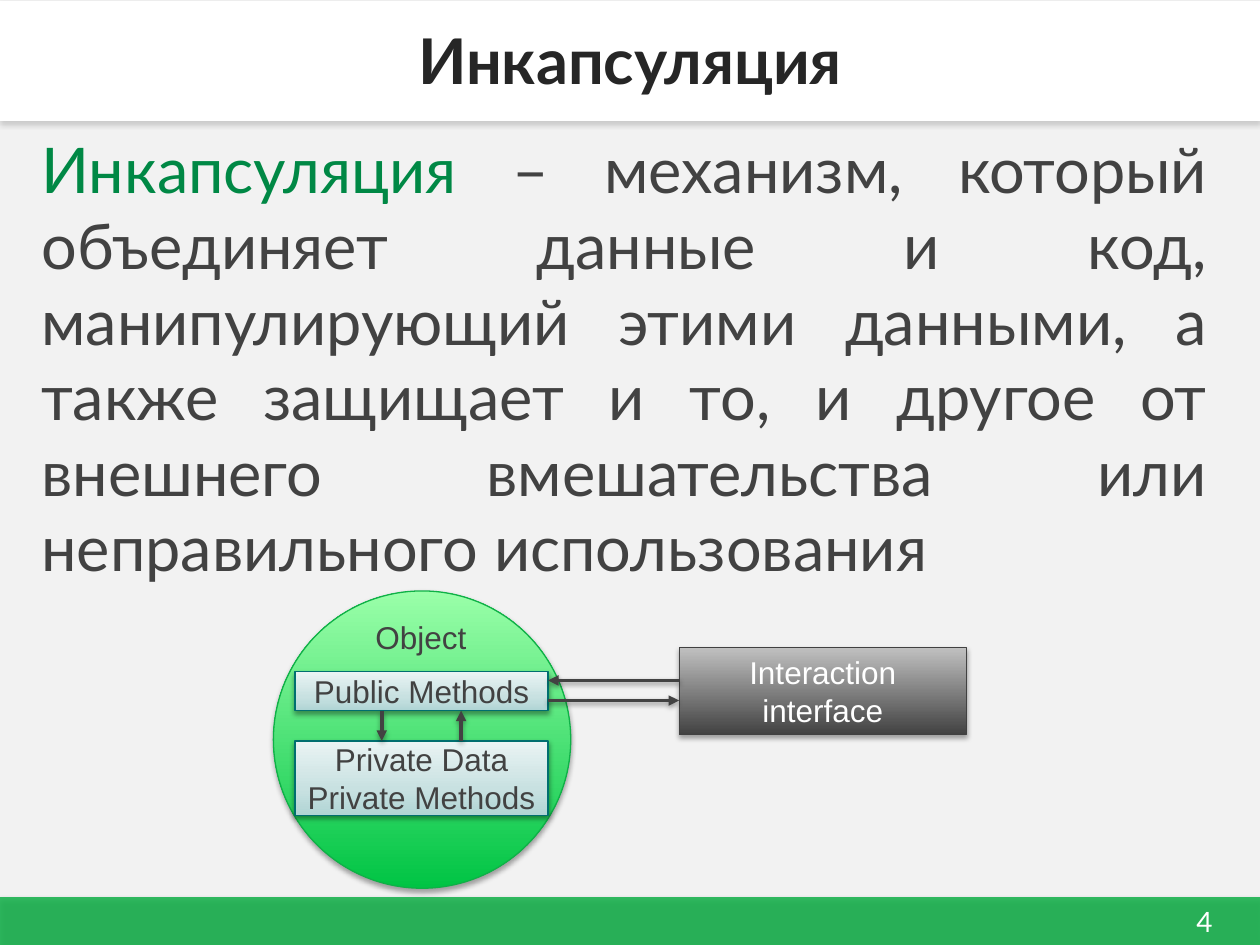
from typing import NamedTuple

from lxml.etree import SubElement
from pptx import Presentation
from pptx.dml.color import RGBColor
from pptx.enum.shapes import MSO_CONNECTOR, MSO_SHAPE
from pptx.enum.text import MSO_ANCHOR, PP_ALIGN
from pptx.oxml.ns import qn
from pptx.util import Inches, Pt

WIDTH, HEIGHT = 10, 7.5
DARK, WHITE = "424242", "FFFFFF"
TEAL = ((0, "B0D5D5"), (35, "C8E1E1"), (100, "EAF4F4"))
GREEN = ((0, "00C444"), (100, "9AFFA9"))
GREY = ((0, DARK), (100, "C0C0C0"))

# Shared edges of the diagram
METHODS_LEFT, METHODS_WIDTH = 2.34, 2.01
METHODS_RIGHT = METHODS_LEFT + METHODS_WIDTH
PUBLIC_TOP, PUBLIC_HEIGHT = 5.33, 0.31
PUBLIC_BOTTOM, PRIVATE_TOP = PUBLIC_TOP + PUBLIC_HEIGHT, 5.88
INTERFACE_LEFT = 5.39


class Shadow(NamedTuple):
    color: str = "000000"
    opacity: int = 35
    blur: float = 3.1
    distance: float = 1.8


class Block(NamedTuple):
    area: tuple
    fill: tuple  # (position, colour) stops; a single stop is a solid fill
    line: str = ""
    lines: tuple = ()
    color: str = DARK
    inset: float = 0.1
    shadow: Shadow = Shadow()
    kind: MSO_SHAPE = MSO_SHAPE.RECTANGLE
    opacity: int = 100


class Arrow(NamedTuple):
    start: tuple
    end: tuple


SOFT = Shadow(opacity=38, distance=1.6)

BARS = (
    Block((0, 7.12, WIDTH, 0.38), ((0, "13B14A"),), opacity=86),
    Block((0, 0.01, WIDTH, 0.95), ((0, WHITE),), shadow=Shadow("808080")),
)
DIAGRAM = (
    Block((2.17, 4.69, 2.36, 2.36), GREEN, "0FB147", kind=MSO_SHAPE.OVAL),
    Block((METHODS_LEFT, PUBLIC_TOP, METHODS_WIDTH, PUBLIC_HEIGHT), TEAL, "006F6F",
          ("Public Methods",), inset=0.05, shadow=SOFT),
    Block((METHODS_LEFT, PRIVATE_TOP, METHODS_WIDTH, 0.59), TEAL, "006F6F",
          ("Private Data", "Private Methods"), inset=0.05, shadow=SOFT),
    Block((INTERFACE_LEFT, 5.14, 2.28, 0.69), GREY, "414141",
          ("Interaction interface",), WHITE),
)
ARROWS = (
    Arrow((3.03, PUBLIC_BOTTOM), (3.03, PRIVATE_TOP)),
    Arrow((3.66, PRIVATE_TOP), (3.66, PUBLIC_BOTTOM)),
    Arrow((INTERFACE_LEFT, 5.4), (METHODS_RIGHT, 5.4)),
    Arrow((METHODS_RIGHT, 5.56), (INTERFACE_LEFT, 5.56)),
)


def rgb(color: str) -> RGBColor:
    return RGBColor.from_string(color)


def add_color(parent, color: str, opacity: int = 100) -> None:
    node = SubElement(parent, qn("a:srgbClr"), val=color)
    if opacity < 100:
        SubElement(node, qn("a:alpha"), val=str(opacity * 1000))


def add_shadow(shape, shadow: Shadow) -> None:
    effects = SubElement(shape.element.spPr, qn("a:effectLst"))
    outer = SubElement(effects, qn("a:outerShdw"), blurRad=str(Pt(shadow.blur)),
                       dist=str(Pt(shadow.distance)), dir="5400000", rotWithShape="0")
    add_color(outer, shadow.color, shadow.opacity)


def add_fill(shape, stops: tuple, opacity: int) -> None:
    properties = shape.element.spPr
    if len(stops) == 1:
        add_color(SubElement(properties, qn("a:solidFill")), stops[0][1], opacity)
        return
    gradient = SubElement(properties, qn("a:gradFill"), rotWithShape="1")
    stop_list = SubElement(gradient, qn("a:gsLst"))
    for position, color in stops:
        add_color(SubElement(stop_list, qn("a:gs"), pos=str(position * 1000)), color)
    SubElement(gradient, qn("a:lin"), ang=str(270 * 60000), scaled="0")


def write(shape, *lines, size: float = 18, font: str = "Arial", color: str = DARK,
          bold: bool = False, align=PP_ALIGN.CENTER, anchor=MSO_ANCHOR.MIDDLE,
          inset: float = 0.1) -> None:
    """Each line is a string, or a tuple of (text, colour) spans."""
    frame = shape.text_frame
    frame.word_wrap = True
    frame.vertical_anchor = anchor
    frame.margin_left = frame.margin_right = Inches(inset)
    for index, line in enumerate(lines):
        para = frame.add_paragraph() if index else frame.paragraphs[0]
        para.alignment = align
        for text, span_color in ((line, color),) if isinstance(line, str) else line:
            span = para.add_run()
            span.text = text
            span.font.size, span.font.name, span.font.bold = Pt(size), font, bold
            span.font.color.rgb = rgb(span_color)


def add_text(page, area: tuple, *lines, **text_format) -> None:
    write(page.shapes.add_textbox(*map(Inches, area)), *lines, **text_format)


def add_block(page, block: Block) -> None:
    shape = page.shapes.add_shape(block.kind, *map(Inches, block.area))
    add_fill(shape, block.fill, block.opacity)
    if block.line:
        shape.line.color.rgb = rgb(block.line)
        shape.line.width = Pt(0.75)
    else:
        shape.line.fill.background()
    add_shadow(shape, block.shadow)
    write(shape, *block.lines, color=block.color, inset=block.inset)


def add_arrow(page, arrow: Arrow) -> None:
    connector = page.shapes.add_connector(
        MSO_CONNECTOR.STRAIGHT, *map(Inches, arrow.start + arrow.end))
    connector.line.color.rgb = rgb(DARK)
    connector.line.width = Pt(2)
    SubElement(connector.line._get_or_add_ln(), qn("a:tailEnd"), type="triangle")
    add_shadow(connector, SOFT)


deck = Presentation()
deck.slide_width, deck.slide_height = Inches(WIDTH), Inches(HEIGHT)
page = deck.slides.add_slide(deck.slide_layouts[6])
page.background.fill.solid()
page.background.fill.fore_color.rgb = rgb("F2F2F2")

# Footer, header, page number and title
for bar in BARS:
    add_block(page, bar)
add_text(page, (9.22, 7.13, 0.68, 0.37), "4", size=16, font="Lato", color=WHITE)
add_text(page, (0, -0.01, WIDTH, 0.96), "Инкапсуляция",
         size=36, font="Lato", color="262626", bold=True)

# Definition
definition = (
    ("Инкапсуляция", "008845"),
    (" – механизм, который объединяет данные и код, манипулирующий этими данными, "
     "а также защищает и то, и другое от внешнего вмешательства или "
     "неправильного использования", DARK),
)
add_text(page, (0.23, 0.99, 9.45, 3.74), definition, size=36, font="Lato",
         align=PP_ALIGN.JUSTIFY, anchor=MSO_ANCHOR.TOP)

# Object and interface diagram
for block in DIAGRAM:
    add_block(page, block)
add_text(page, (2.83, 4.86, 1.02, 0.4), "Object", anchor=MSO_ANCHOR.TOP)
for arrow in ARROWS:
    add_arrow(page, arrow)

deck.save("out.pptx")
